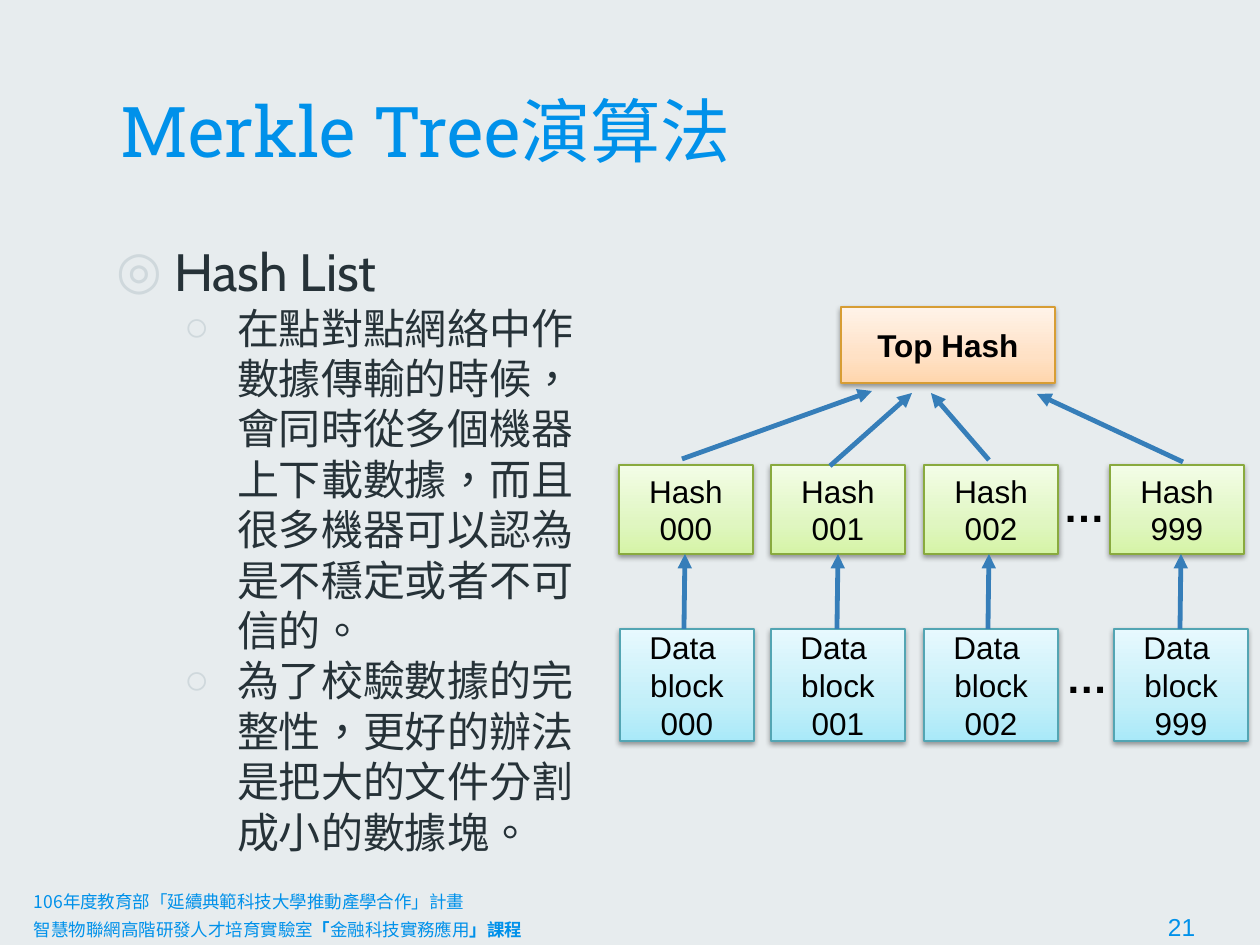
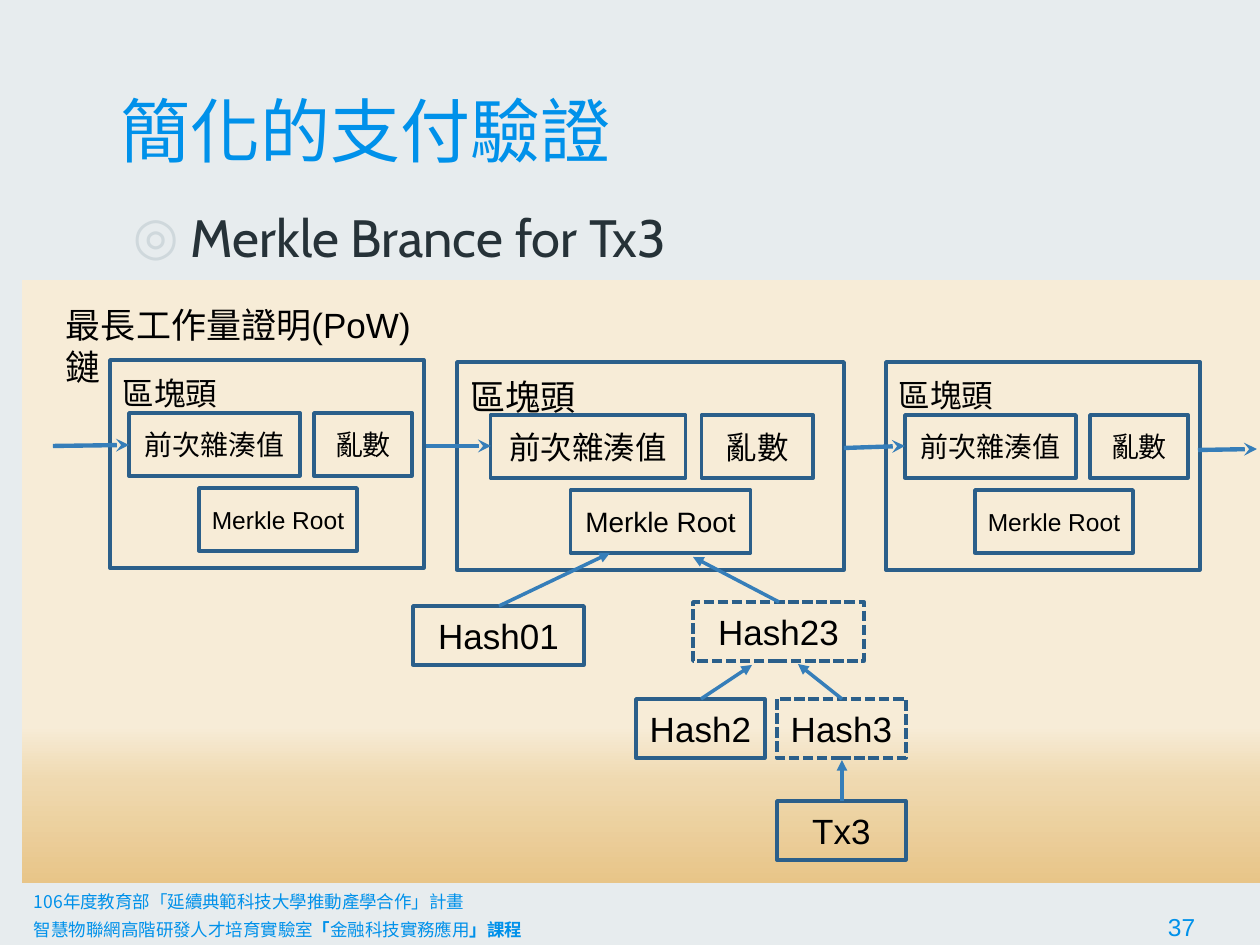
"""Build two lecture slides on Merkle trees and simplified payment verification."""
import lxml.etree
import pptx
import pptx.dml.color
import pptx.enum.dml
import pptx.enum.shapes
import pptx.enum.text
import pptx.oxml.ns
import pptx.util

SCALE = 914400 / 126
ALIGN = pptx.enum.text.PP_ALIGN
ANCHOR = pptx.enum.text.MSO_ANCHOR
BLUE, INK, PALE, BLACK = "0091EA", "263238", "CFD8DC", "000000"
ARROW, FRAME, BACKDROP = "367EB9", "2B5F8A", "E7ECEE"
ORANGE = {"stops": ((0, "FFD6AD"), (35, "FFE1C5"), (100, "FFF3E9")), "edge": "D79D34"}
GREEN = {"stops": ((0, "D5F4A6"), (35, "E0F6C1"), (100, "F3FDE7")), "edge": "89AA3E"}
CYAN = {"stops": ((0, "A9E9F9"), (35, "C3EFF9"), (100, "E7F9FE")), "edge": "53A5B3"}
SAND = ((0, "F7ECD7"), (74, "F7ECD7"), (83, "EFD9B0"), (100, "E8C588"))
BULLETS = (("◎", 63, -58, 30, 6), ("○", 126, -53, 24, 0))


def px(length):
    return pptx.util.Emu(round(length * SCALE))


def rgb(value):
    return pptx.dml.color.RGBColor.from_string(value)


def node(parent, tag, **attributes):
    values = {name: str(value) for name, value in attributes.items()}
    return lxml.etree.SubElement(parent, pptx.oxml.ns.qn(tag), values)


def assign(target, values):
    for name, value in values.items():
        setattr(target, name, value)


class Deck:
    def __init__(self):
        self.deck = pptx.Presentation()
        assign(self.deck, {"slide_width": px(1260), "slide_height": px(945)})
        fill = self.deck.slide_master.background.fill
        fill.solid()
        fill.fore_color.rgb = rgb(BACKDROP)

    def page(self, title, number, body, items):
        self.slide = self.deck.slides.add_slide(self.deck.slide_layouts[1])
        heading = self.slide.shapes.title
        self.place(heading, 108, 57, 1043, 128)
        self.frame(heading, 13, 13, ANCHOR.BOTTOM)
        self.span(heading.text_frame.paragraphs[0], title, 40, BLUE, "Roboto Slab")
        self.bullets(body, items)
        self.footer(number)

    def place(self, shape, left, top, width, height):
        assign(shape, {"left": px(left), "top": px(top), "width": px(width), "height": px(height)})

    def frame(self, shape, side, ends, anchor):
        assign(shape.text_frame, {
            "auto_size": pptx.enum.text.MSO_AUTO_SIZE.NONE, "word_wrap": True,
            "margin_left": px(side), "margin_right": px(side),
            "margin_top": px(ends), "margin_bottom": px(ends),
            "vertical_anchor": anchor})

    def para(self, shape, index, align=ALIGN.LEFT):
        text = shape.text_frame
        para = text.add_paragraph() if index else text.paragraphs[0]
        para.alignment = align
        return para

    def span(self, para, text, size, color=BLACK, font="Arial", bold=False):
        para.alignment = para.alignment or ALIGN.LEFT
        span = para.add_run()
        span.text = text
        assign(span.font, {"size": pptx.util.Pt(size), "name": font, "bold": bold})
        span.font.color.rgb = rgb(color)
        properties = span.font._element
        properties.set("lang", "zh-TW")
        latin = properties.find(pptx.oxml.ns.qn("a:latin"))
        east = node(properties, "a:ea", typeface=font)
        latin.addnext(east)

    def bullets(self, place, items):
        body = self.slide.placeholders[1]
        self.place(body, *place)
        self.frame(body, 13, 13, ANCHOR.TOP)
        for index, (level, text) in enumerate(items):
            mark, margin, indent, size, before = BULLETS[level]
            para = self.para(body, index)
            assign(para, {"level": level, "space_before": pptx.util.Pt(before)})
            self.span(para, text, size, INK, "Cabin")
            properties = para._p.get_or_add_pPr()
            properties.set("marL", str(px(margin)))
            properties.set("indent", str(px(indent)))
            node(node(properties, "a:buClr"), "a:srgbClr", val=PALE)
            node(properties, "a:buChar", char=mark)

    def text(self, place, lines, size, bold=False):
        box = self.slide.shapes.add_textbox(0, 0, 0, 0)
        self.place(box, *place)
        self.frame(box, 13, 6, ANCHOR.TOP)
        for index, line in enumerate(lines):
            self.span(self.para(box, index), line, size, bold=bold)

    def footer(self, number):
        box = self.slide.shapes.add_textbox(0, 0, 0, 0)
        self.place(box, 21, 885, 1217, 50)
        self.frame(box, 13, 6, ANCHOR.TOP)
        font = "Noto Sans CJK SC"
        self.span(self.para(box, 0), "106年度教育部「延續典範科技大學推動產學合作」計畫", 10, BLUE, font)
        para = self.para(box, 1)
        for text, bold in (("智慧物聯網高階研發人才培育實驗室", False), ("「", True),
                           ("金融科技實務應用", False), ("」課程", True)):
            self.span(para, text, 10, BLUE, font, bold)
        self.span(para, f"\t{number}", 14, BLUE)
        tabs = node(para._p.get_or_add_pPr(), "a:tabLst")
        node(tabs, "a:tab", pos=px(1134), algn="l")

    def rectangle(self, place):
        kind = pptx.enum.shapes.MSO_SHAPE.RECTANGLE
        shape = self.slide.shapes.add_shape(kind, 0, 0, 0, 0)
        self.place(shape, *place)
        shape.shadow.inherit = False
        return shape

    def gradient(self, shape, stops, angle):
        shape.fill.gradient()
        shape.fill.gradient_angle = angle
        holder = shape._element.spPr.find(".//" + pptx.oxml.ns.qn("a:gsLst"))
        for stop in list(holder):
            holder.remove(stop)
        for position, color in stops:
            node(node(holder, "a:gs", pos=position * 1000), "a:srgbClr", val=color)

    def panel(self, place, stops):
        shape = self.rectangle(place)
        self.gradient(shape, stops, 270)
        shape.line.fill.background()

    def outline(self, shape, color, width):
        shape.line.color.rgb = rgb(color)
        shape.line.width = pptx.util.Pt(width)

    def card(self, place, lines, look, bold=False):
        shape = self.rectangle(place)
        self.gradient(shape, look["stops"], 90)
        self.outline(shape, look["edge"], 0.75)
        effects = shape._element.spPr.find(pptx.oxml.ns.qn("a:effectLst"))
        shadow = node(effects, "a:outerShdw", blurRad=pptx.util.Pt(3.1),
                      dist=pptx.util.Pt(1.6), dir=5400000, rotWithShape=0)
        node(node(shadow, "a:srgbClr", val=BLACK), "a:alpha", val=38000)
        self.frame(shape, 6, 6, ANCHOR.MIDDLE)
        for index, line in enumerate(lines):
            self.span(self.para(shape, index, ALIGN.CENTER), line, 18, bold=bold)

    def box(self, place, text, size=20, dashed=False, header=False):
        shape = self.rectangle(place)
        shape.fill.background()
        self.outline(shape, FRAME, 2)
        if dashed:
            shape.line.dash_style = pptx.enum.dml.MSO_LINE.SQUARE_DOT
        if header:
            self.frame(shape, 13, 14, ANCHOR.TOP)
        else:
            self.frame(shape, 6, 6, ANCHOR.MIDDLE)
        para = self.para(shape, 0, ALIGN.LEFT if header else ALIGN.CENTER)
        self.span(para, text, size)

    def block(self, left, top, width, indent, stretch, size):
        self.box((left, top, width, 208), "區塊頭", size, header=True)
        for text, across, down, wide, smaller in (("前次雜湊值", 19, 53, 171, 2),
                                                  ("亂數", 204, 53, 98, 2),
                                                  ("Merkle Root", 89, 128, 158, 4)):
            place = (left + indent + across * stretch, top + down, wide * stretch, 63)
            self.box(place, text, size - smaller)

    def arrow(self, ends, width, head="triangle"):
        kind = pptx.enum.shapes.MSO_CONNECTOR.STRAIGHT
        line = self.slide.shapes.add_connector(kind, *map(px, ends))
        self.outline(line, ARROW, width)
        node(line.line._get_or_add_ln(), "a:tailEnd", type=head)
        node(line._element.spPr, "a:effectLst")


def hash_list(deck):
    deck.page("Merkle Tree演算法", 21, (98, 226, 498, 656), (
        (0, "Hash List"),
        (1, "在點對點網絡中作數據傳輸的時候，會同時從多個機器上下載數據，而且很多機器可以認為是不穩定或者不可信的。"),
        (1, "為了校驗數據的完整性，更好的辦法是把大的文件分割成小的數據塊。")))
    deck.card((841, 307, 214, 76), ("Top Hash",), ORANGE, bold=True)
    columns = (("000", 619, 620, 684), ("001", 771, 771, 837),
               ("002", 924, 924, 988), ("999", 1110, 1114, 1180))
    for number, hash_left, data_left, center in columns:
        deck.card((hash_left, 465, 134, 89), ("Hash", number), GREEN)
        deck.card((data_left, 629, 134, 112), ("Data ", "block", number), CYAN)
        deck.arrow((center, 629, center + 1, 554), 2.75)
    for left, top in ((1050, 475), (1053, 646)):
        deck.text((left, top, 68, 63), ("…",), 24, bold=True)
    for ends in ((682, 459, 872, 391), (830, 466, 912, 393),
                 (989, 460, 931, 393), (1183, 462, 1037, 394)):
        deck.arrow(ends, 2.75)


def payment_check(deck):
    deck.page("簡化的支付驗證", 37, (115, 192, 1043, 656), ((0, "Merkle Brance for Tx3"),))
    deck.panel((22, 280, 1238, 603), SAND)
    deck.block(457, 362, 387, 12, 1.14, 20)
    for left, top in ((110, 360), (886, 362)):
        deck.block(left, top, 314, 0, 1, 18)
    for text, left, top, width, dashed in (
            ("Hash01", 413, 606, 171, False), ("Hash23", 693, 602, 171, True),
            ("Hash2", 636, 699, 129, False), ("Hash3", 777, 699, 129, True),
            ("Tx3", 777, 801, 129, False)):
        deck.box((left, top, width, 59), text, dashed=dashed)
    for ends in ((499, 606, 610, 553), (779, 602, 693, 557), (701, 699, 752, 665),
                 (842, 699, 798, 664), (842, 801, 842, 760)):
        deck.arrow(ends, 2)
    for ends in ((53, 446, 129, 445), (426, 446, 491, 446),
                 (844, 448, 905, 446), (1198, 450, 1257, 449)):
        deck.arrow(ends, 2.5, "stealth")
    deck.text((53, 297, 390, 55), ("最長工作量證明(PoW)鏈",), 20)


def main():
    deck = Deck()
    hash_list(deck)
    payment_check(deck)
    deck.deck.save("out.pptx")


if __name__ == "__main__":
    main()
